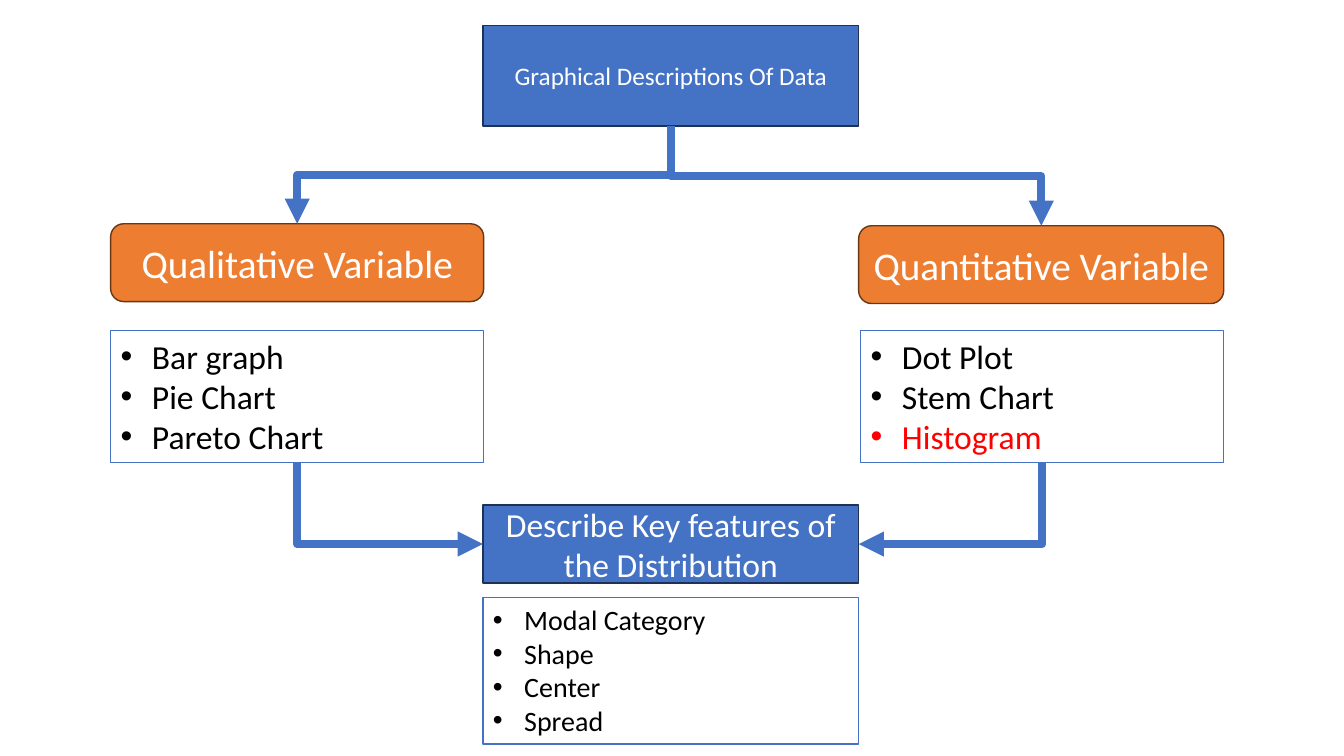
from lxml.etree import SubElement
from pptx import Presentation
from pptx.dml.color import RGBColor
from pptx.enum.shapes import MSO_CONNECTOR as Link, MSO_SHAPE as Kind
from pptx.enum.text import MSO_ANCHOR as Anchor, MSO_AUTO_SIZE as Fit, PP_ALIGN as Align
from pptx.oxml.ns import qn
from pptx.util import Cm, Pt

BLUE, NAVY = "4472C4", "1E3256"
ORANGE, BROWN = "ED7D31", "683715"
WHITE, BLACK, RED = "FFFFFF", "000000", "FF0000"
BOTTOM, LEFT, RIGHT, TOP = 2, 1, 3, 0


def color(code):
    return RGBColor.from_string(code)


def style(para, size, code):
    para.font.name = "Calibri"
    para.font.size = Pt(size)
    para.font.color.rgb = color(code)


def add_box(slide, kind, place, fill, edge):
    """Add a plain filled shape; place is left, top, width, height in cm."""
    box = slide.shapes.add_shape(kind, *map(Cm, place))
    box.shadow.inherit = False
    box.fill.solid()
    box.fill.fore_color.rgb = color(fill)
    box.line.color.rgb = color(edge)
    box.line.width = Pt(1)
    box.text_frame.word_wrap = True
    return box


def add_title(slide, kind, place, fill, edge, text, size):
    box = add_box(slide, kind, place, fill, edge)
    frame = box.text_frame
    frame.vertical_anchor = Anchor.MIDDLE
    para = frame.paragraphs[0]
    para.text = text
    para.alignment = Align.CENTER
    style(para, size, WHITE)
    return box


def add_list(slide, place, items, size, marked=None):
    """Add a bulleted box; the marked item is red."""
    box = add_box(slide, Kind.RECTANGLE, place, WHITE, BLUE)
    frame = box.text_frame
    frame.auto_size = Fit.SHAPE_TO_FIT_TEXT
    frame.vertical_anchor = Anchor.TOP
    for num, item in enumerate(items):
        para = frame.add_paragraph() if num else frame.paragraphs[0]
        para.text = item
        para.alignment = Align.LEFT
        props = para._p.get_or_add_pPr()
        props.set("marL", str(Cm(0.79)))
        props.set("indent", str(-Cm(0.79)))
        SubElement(props, qn("a:buFont"), typeface="Arial")
        SubElement(props, qn("a:buChar"), char="•")
        style(para, size, RED if item == marked else BLACK)
    return box


def add_elbow(slide, start, end, side, preset):
    """Join the bottom of start to a side of end, leaving downwards."""
    link = slide.shapes.add_connector(Link.ELBOW, 0, 0, 0, 0)
    link.begin_connect(start, BOTTOM)
    link.end_connect(end, side)
    x1, y1, x2, y2 = link.begin_x, link.begin_y, link.end_x, link.end_y
    wide, high = abs(x2 - x1), abs(y2 - y1)
    # The frame lies on its side, so width and height change places.
    link.left = (x1 + x2 - high) // 2
    link.top = (y1 + y2 - wide) // 2
    link.width, link.height = high, wide
    props = link._element.spPr
    turn = props.xfrm
    turn.flipH, turn.flipV = x2 > x1, False
    turn.rot = 270 if x2 > x1 else 90
    props.find(qn("a:prstGeom")).set("prst", preset)
    link.line.color.rgb = color(BLUE)
    link.line.width = Pt(6)
    SubElement(link.line._get_or_add_ln(), qn("a:tailEnd"), type="triangle")
    SubElement(props, qn("a:effectLst"))


def main():
    deck = Presentation()
    deck.slide_width, deck.slide_height = Cm(33.87), Cm(19.05)
    slide = deck.slides.add_slide(deck.slide_layouts[6])

    mid, span = 12.17, 9.47
    root = add_title(slide, Kind.RECTANGLE, (mid, 0.64, span, 2.54), BLUE, NAVY,
                     "Graphical Descriptions Of Data", 18)
    goal = add_title(slide, Kind.RECTANGLE, (mid, 12.73, span, 1.96), BLUE, NAVY,
                     "Describe Key features of the Distribution", 24)
    add_list(slide, (mid, 15.06, span, 3.69),
             ["Modal Category", "Shape", "Center", "Spread"], 20)

    branches = [
        ("Qualitative Variable", (2.79, 5.64, 9.4, 1.96), (2.79, 8.33, 9.4, 3.33),
         ["Bar graph", "Pie Chart", "Pareto Chart"], None, LEFT),
        ("Quantitative Variable", (21.64, 5.69, 9.2, 1.96), (21.69, 8.33, 9.15, 3.33),
         ["Dot Plot", "Stem Chart", "Histogram"], "Histogram", RIGHT),
    ]
    for name, head, body, charts, marked, side in branches:
        topic = add_title(slide, Kind.ROUNDED_RECTANGLE, head, ORANGE, BROWN, name, 28)
        group = add_list(slide, body, charts, 24, marked)
        add_elbow(slide, root, topic, TOP, "bentConnector3")
        add_elbow(slide, group, goal, side, "bentConnector2")

    deck.save("out.pptx")


if __name__ == "__main__":
    main()
